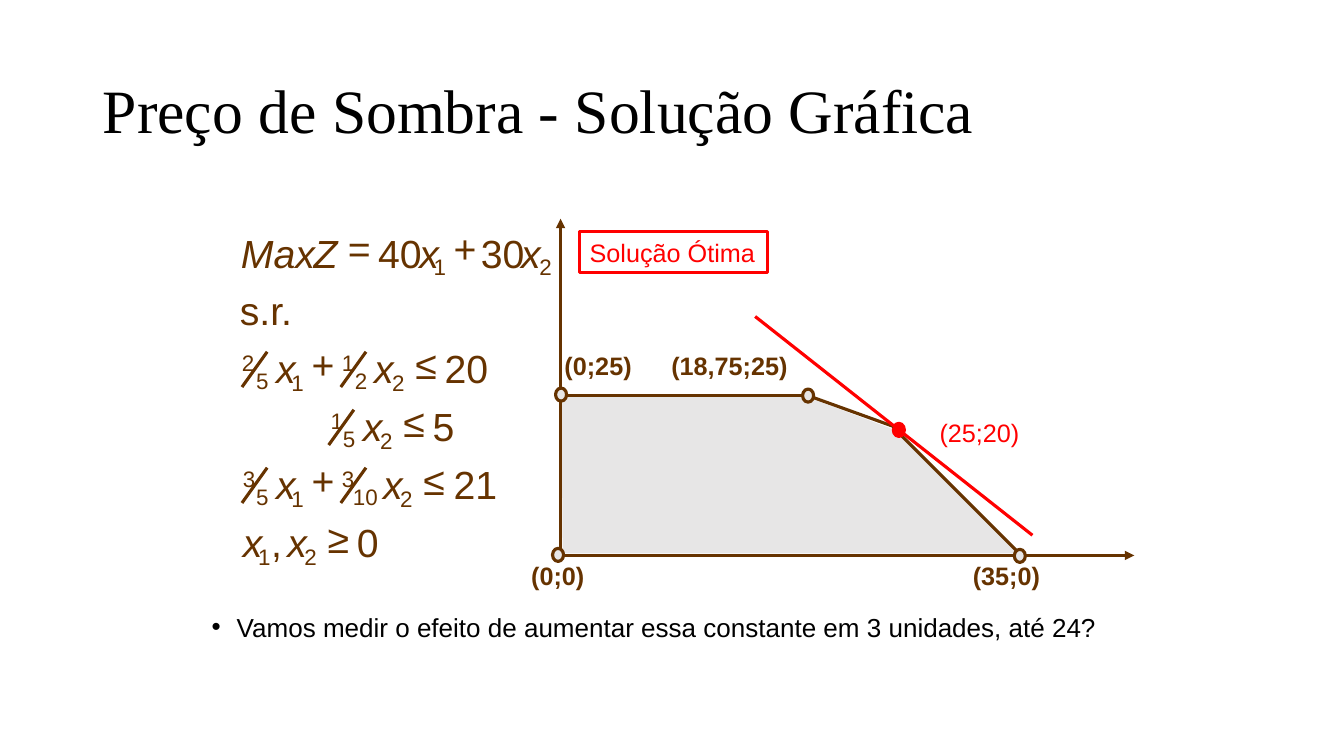
"""Build the slide on shadow prices and their graphical solution."""
from dataclasses import dataclass

from lxml import etree
from pptx import Presentation
from pptx.dml.color import RGBColor
from pptx.enum import shapes, text
from pptx.oxml import ns
from pptx.util import Inches, Pt


@dataclass(frozen=True)
class Theme:
    brown: RGBColor = RGBColor(0x66, 0x33, 0x00)
    red: RGBColor = RGBColor(0xFF, 0x00, 0x00)
    grey: RGBColor = RGBColor(0xE7, 0xE6, 0xE6)
    black: RGBColor = RGBColor(0x00, 0x00, 0x00)
    title_font: str = "Times New Roman"
    body_font: str = "Arial"
    title: float = 44
    formula: float = 28
    small: float = 16
    label: float = 18
    bullet: float = 18.6
    line: float = 2.25


THEME = Theme()
ROW_TOP, ROW_STEP = 2.27, 0.575
TERM_STYLES = {
    "number": (0, 0.24, THEME.formula, False),
    "variable": (0, 0.26, THEME.formula, True),
    "operator": (-0.04, 0.24, THEME.formula, False),
    "sub": (0.24, 0.14, THEME.small, False),
    "over": (0.04, 0.14, THEME.small, False),
    "under": (0.22, 0.14, THEME.small, False),
}
FORMULA_ROWS = [
    [("variable", "Max", 2.39), ("variable", "Z", 3.11), ("operator", "=", 3.45),
     ("number", "40", 3.75), ("variable", "x", 4.16), ("sub", "1", 4.3),
     ("operator", "+", 4.5), ("number", "30", 4.77), ("variable", "x", 5.17),
     ("sub", "2", 5.35)],
    [("number", "s.r.", 2.38)],
    [("over", "2", 2.4), ("slash", "", 2.4), ("under", "5", 2.54),
     ("variable", "x", 2.74), ("sub", "1", 2.89), ("operator", "+", 3.09),
     ("over", "1", 3.39), ("slash", "", 3.38), ("under", "2", 3.52),
     ("variable", "x", 3.71), ("sub", "2", 3.89), ("operator", "≤", 4.12),
     ("number", "20", 4.41)],
    [("over", "1", 3.28), ("slash", "", 3.26), ("under", "5", 3.4),
     ("variable", "x", 3.6), ("sub", "2", 3.77), ("operator", "≤", 4),
     ("number", "5", 4.29)],
    [("over", "3", 2.41), ("slash", "", 2.4), ("under", "5", 2.54),
     ("variable", "x", 2.74), ("sub", "1", 2.89), ("operator", "+", 3.09),
     ("over", "3", 3.39), ("slash", "", 3.38), ("under", "10", 3.5),
     ("variable", "x", 3.8), ("sub", "2", 3.97), ("operator", "≤", 4.2),
     ("number", "21", 4.5)],
    [("variable", "x", 2.41), ("sub", "1", 2.56), ("number", ",", 2.69),
     ("variable", "x", 2.85), ("sub", "2", 3.02), ("operator", "≥", 3.25),
     ("number", "0", 3.54)],
]
REGION = [(5.57, 3.93), (7.98, 3.93), (8.86, 4.26), (10.08, 5.49), (5.58, 5.49)]
VERTICES = [(5.51, 3.85), (5.48, 5.44), (7.96, 3.86), (10.06, 5.45)]
VERTEX_LABELS = [
    ("(0;25)", 5.5, 3.43, 0.88),
    ("(0;0)", 5.17, 5.51, 0.73),
    ("(18,75;25)", 6.56, 3.43, 1.37),
    ("(35;0)", 9.55, 5.51, 0.88),
]


def add_span(para, words, size, color, font=THEME.body_font, bold=False, italic=False):
    """Append one formatted run to a paragraph."""
    span = para.add_run()
    span.text = words
    span.font.size, span.font.name = Pt(size), font
    span.font.bold, span.font.italic = bold, italic
    span.font.color.rgb = color


def place(shape, left, top, width, height):
    """Move and size a shape in inches."""
    shape.left, shape.top = Inches(left), Inches(top)
    shape.width, shape.height = Inches(width), Inches(height)


def fit_label(box, words, color, bold=False):
    """Write an unwrapped, vertically centred label into a shape."""
    frame = box.text_frame
    frame.word_wrap = False
    frame.auto_size = text.MSO_AUTO_SIZE.SHAPE_TO_FIT_TEXT
    frame.vertical_anchor = text.MSO_ANCHOR.MIDDLE
    para = frame.paragraphs[0]
    para.alignment = text.PP_ALIGN.LEFT
    add_span(para, words, THEME.label, color, bold=bold)


def add_label(page, words, left, top, width, color, bold=False):
    """Add a free-standing graph label."""
    box = page.shapes.add_textbox(Inches(left), Inches(top), Inches(width), Inches(0.4))
    fit_label(box, words, color, bold)


def add_line(page, start, end, color, arrow=None):
    """Add a straight line, with an arrowhead when headEnd or tailEnd is named."""
    line = page.shapes.add_connector(
        shapes.MSO_CONNECTOR.STRAIGHT, *map(Inches, (*start, *end)))
    line.line.color.rgb, line.line.width = color, Pt(THEME.line)
    if arrow:
        outline = line.line._get_or_add_ln()
        etree.SubElement(outline, ns.qn(f"a:{arrow}"), type="triangle")
    etree.SubElement(line._element.spPr, ns.qn("a:effectLst"))


def add_term(page, kind, words, left, row_top):
    """Add one symbol of a formula row."""
    if kind == "slash":
        add_line(page, (left + 0.25, row_top + 0.07), (left, row_top + 0.42), THEME.brown)
        return
    offset, char_width, size, italic = TERM_STYLES[kind]
    box = page.shapes.add_textbox(
        Inches(left), Inches(row_top + offset),
        Inches(char_width * len(words)), Inches(size / 60))
    frame = box.text_frame
    frame.margin_left = frame.margin_right = frame.margin_top = frame.margin_bottom = 0
    frame.word_wrap = False
    frame.auto_size = text.MSO_AUTO_SIZE.SHAPE_TO_FIT_TEXT
    para = frame.paragraphs[0]
    para.alignment = text.PP_ALIGN.LEFT
    add_span(para, words, size, THEME.brown, italic=italic)


def add_formula(page):
    """Add the linear programme row by row."""
    for index, row in enumerate(FORMULA_ROWS):
        for kind, words, left in row:
            add_term(page, kind, words, left, ROW_TOP + index * ROW_STEP)


def add_dot(page, left, top, fill, outline):
    """Mark a vertex of the feasible region."""
    dot = page.shapes.add_shape(
        shapes.MSO_SHAPE.OVAL, Inches(left), Inches(top), Inches(0.11), Inches(0.13))
    dot.shadow.inherit = False
    dot.fill.solid()
    dot.fill.fore_color.rgb = fill
    dot.line.color.rgb, dot.line.width = outline, Pt(THEME.line)


def add_region(page):
    """Fill the feasible region."""
    points = [(Inches(x), Inches(y)) for x, y in REGION]
    builder = page.shapes.build_freeform(*points[0])
    builder.add_line_segments(points[1:], close=True)
    region = builder.convert_to_shape()
    region.shadow.inherit = False
    region.fill.solid()
    region.fill.fore_color.rgb = THEME.grey
    region.line.fill.background()


def add_graph(page):
    """Add the axes, region, vertices and optimum."""
    add_line(page, (5.5, 5.51), (11.25, 5.51), THEME.brown, "tailEnd")
    add_region(page)
    add_line(page, (8.87, 4.25), (10.12, 5.5), THEME.brown)
    add_dot(page, 8.86, 4.2, THEME.red, THEME.red)
    add_line(page, (5.56, 2.17), (5.56, 5.53), THEME.brown, "headEnd")
    add_line(page, (5.57, 3.92), (8, 3.92), THEME.brown)
    add_line(page, (8, 3.92), (8.86, 4.23), THEME.brown)
    for words, left, top, width in VERTEX_LABELS:
        add_label(page, words, left, top, width, THEME.brown, bold=True)
    for left, top in VERTICES:
        add_dot(page, left, top, THEME.grey, THEME.brown)
    add_line(page, (7.49, 3.14), (10.24, 5.31), THEME.red)
    add_label(page, "(25;20)", 9.22, 4.09, 1, THEME.red)


def add_optimum_box(page):
    """Add the framed caption of the optimum."""
    box = page.shapes.add_shape(
        shapes.MSO_SHAPE.RECTANGLE, Inches(5.75), Inches(2.3), Inches(1.86), Inches(0.4))
    box.shadow.inherit = False
    box.fill.background()
    box.line.color.rgb, box.line.width = THEME.red, Pt(THEME.line)
    fit_label(box, "Solução Ótima", THEME.red)


def add_bullet(page, words):
    """Add the bulleted question below the graph."""
    box = page.shapes.add_textbox(Inches(2), Inches(5.92), Inches(9.33), Inches(0.92))
    box.text_frame.word_wrap = True
    para = box.text_frame.paragraphs[0]
    props = para._p.get_or_add_pPr()
    props.set("marL", str(Inches(0.25)))
    props.set("indent", str(-Inches(0.25)))
    etree.SubElement(props, ns.qn("a:buFont"), typeface=THEME.body_font)
    etree.SubElement(props, ns.qn("a:buChar"), char="•")
    para.line_spacing = 1.3
    add_span(para, words, THEME.bullet, THEME.black)


def set_title(page, words):
    """Move and format the title placeholder."""
    title = page.shapes.title
    place(title, 0.92, 0.4, 11.5, 1.45)
    frame = title.text_frame
    frame.auto_size = text.MSO_AUTO_SIZE.NONE
    frame.vertical_anchor = text.MSO_ANCHOR.MIDDLE
    para = frame.paragraphs[0]
    para.alignment, para.line_spacing = text.PP_ALIGN.LEFT, 0.9
    add_span(para, words, THEME.title, THEME.black, THEME.title_font)


def main():
    """Assemble and save the deck."""
    deck = Presentation()
    deck.slide_width, deck.slide_height = Inches(13.33), Inches(7.5)
    page = deck.slides.add_slide(deck.slide_layouts.get_by_name("Title Only"))
    set_title(page, "Preço de Sombra - Solução Gráfica")
    add_formula(page)
    add_graph(page)
    add_optimum_box(page)
    add_bullet(page, "Vamos medir o efeito de aumentar essa constante em 3 unidades, até 24?")
    deck.save("out.pptx")


if __name__ == "__main__":
    main()
